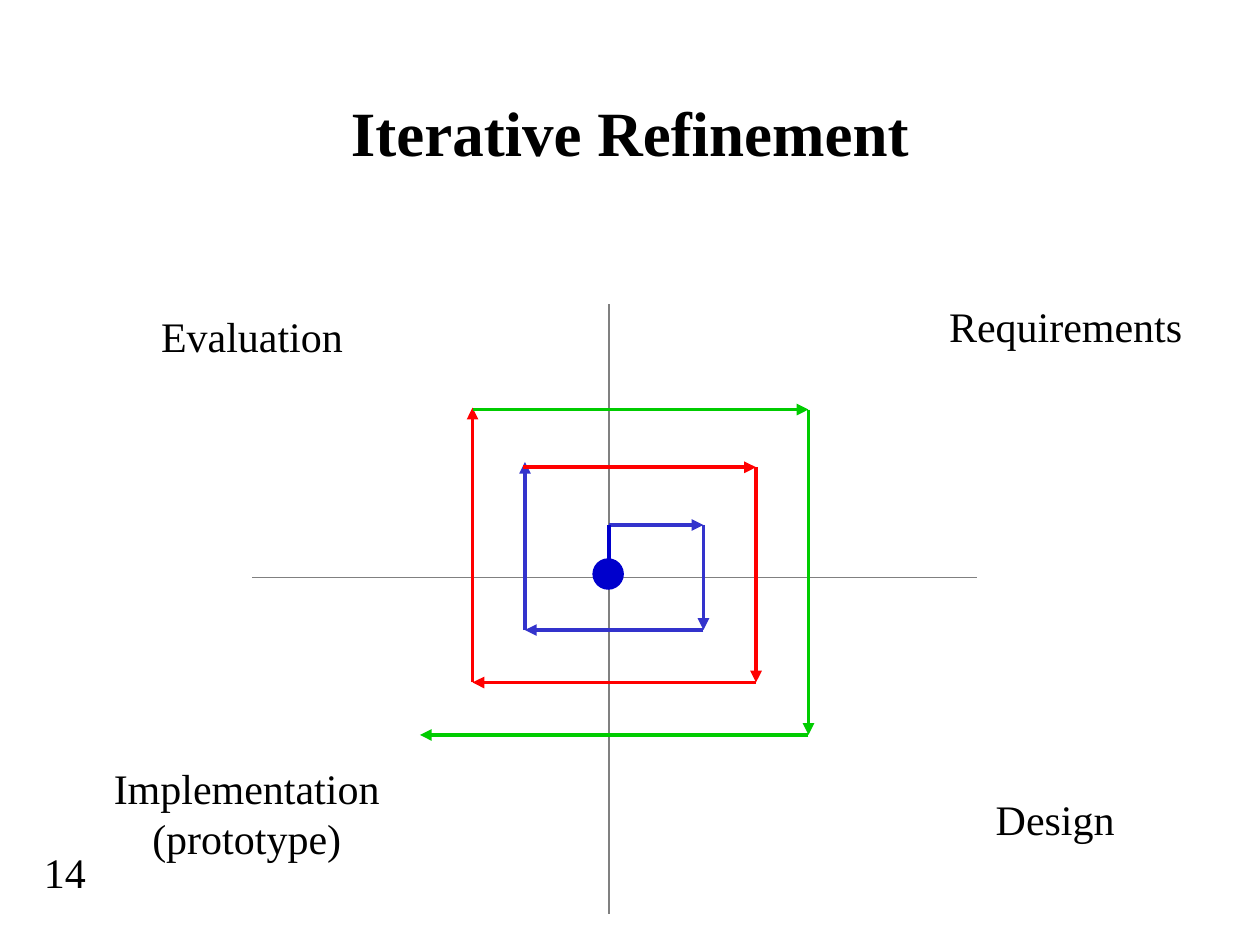
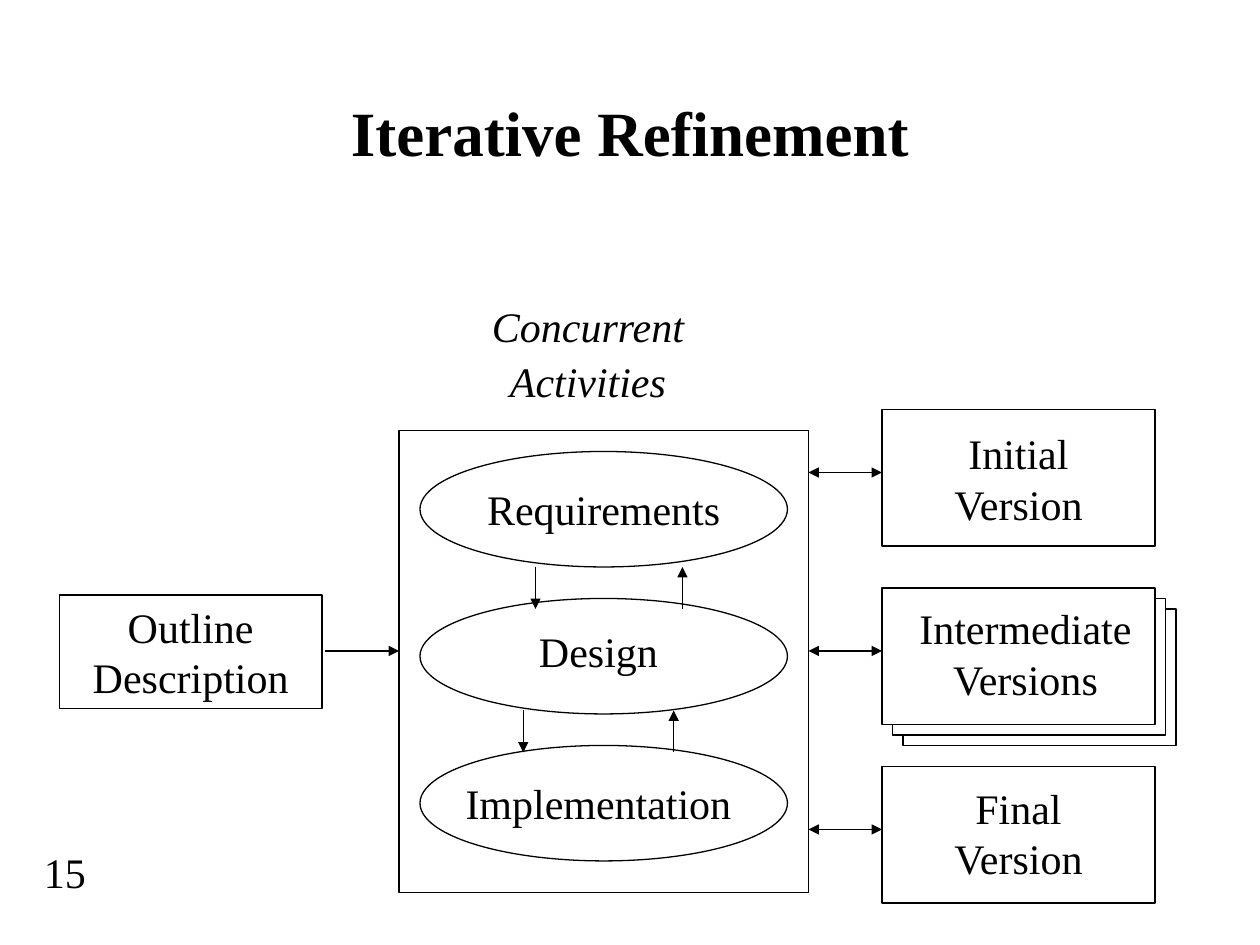
from lxml.etree import SubElement as Sub
from pptx import Presentation
from pptx.dml.color import RGBColor as Rgb
from pptx.enum.shapes import MSO_CONNECTOR as Conn, MSO_SHAPE as Form
from pptx.enum.text import MSO_ANCHOR as Anchor, MSO_AUTO_SIZE as Fit, PP_ALIGN as Align
from pptx.oxml.ns import qn
from pptx.util import Pt

HUES = {
    "black": "000000", "white": "FFFFFF", "grey": "808080", "dot": "0000CC",
    "blue": "3333CC", "red": "FF0000", "green": "00CC00",
}
TEXT = {"name": "Times New Roman", "size": Pt(24), "bold": False, "italic": False}
TITLE = {**TEXT, "size": Pt(36), "bold": True}
GROW = {"word_wrap": True, "auto_size": Fit.SHAPE_TO_FIT_TEXT,
        "vertical_anchor": Anchor.TOP}
FIXED = {"word_wrap": True, "auto_size": Fit.NONE, "vertical_anchor": Anchor.MIDDLE}


def hue(name):
    return Rgb.from_string(HUES[name])


def apply(item, style):
    for name, value in style.items():
        setattr(item, name, value)


def write(frame, text, font=TEXT, body=GROW, align=Align.CENTER, gap=0):
    """Fill a text frame; each line is a paragraph, gap is the space between."""
    apply(frame, body)
    frame.text = text
    for num, para in enumerate(frame.paragraphs):
        apply(para, {"alignment": align, "space_before": Pt(gap if num else 0)})
        apply(para.font, font)
        para.font.color.rgb = hue("black")


def label(slide, text, left, top, width, height=36, **style):
    box = slide.shapes.add_textbox(Pt(left), Pt(top), Pt(width), Pt(height))
    write(box.text_frame, text, **style)


def shape(slide, form, left, top, width, height, fill=None, edge="black"):
    item = slide.shapes.add_shape(form, Pt(left), Pt(top), Pt(width), Pt(height))
    item.shadow.inherit = False
    if fill:
        item.fill.solid()
        item.fill.fore_color.rgb = hue(fill)
    else:
        item.fill.background()
    if edge:
        item.line.color.rgb = hue(edge)
        item.line.width = Pt(0.75)
    else:
        item.line.fill.background()
    return item


def line(slide, start, end, color="black", width=0.75, tips=()):
    """Draw a line; tips names its arrow ends, headEnd first, then tailEnd."""
    item = slide.shapes.add_connector(Conn.STRAIGHT, *map(Pt, (*start, *end)))
    item.line.color.rgb = hue(color)
    item.line.width = Pt(width)
    edge = item.line._get_or_add_ln()
    for tip in tips:
        Sub(edge, qn(f"a:{tip}"), type="triangle")
    Sub(item._element.spPr, qn("a:effectLst"))


def trail(slide, color, points):
    """Join the points with arrows, one for each leg."""
    for start, end in zip(points, points[1:]):
        line(slide, start, end, color, 2.25, ["tailEnd"])


def start_slide(deck, number):
    slide = deck.slides.add_slide(deck.slide_layouts[5])
    label(slide, str(number), 18, 480, 78, align=Align.LEFT)
    title = slide.shapes.title
    apply(title, {"left": Pt(54), "top": Pt(30), "width": Pt(612), "height": Pt(90)})
    write(title.text_frame, "Iterative Refinement", TITLE, FIXED)
    return slide


def draw_spiral(deck):
    slide = start_slide(deck, 14)

    # Axes and the four phases
    line(slide, (348, 174), (348, 522), "grey")
    line(slide, (144, 330), (558, 330), "grey")
    label(slide, "Requirements", 528, 168, 162)
    label(slide, "Design", 534, 450, 138)
    label(slide, "Implementation\n(prototype)", 42, 432, 198, 65)
    label(slide, "Evaluation", 66, 174, 156)

    # Three rounds, from the centre outwards
    trail(slide, "blue", [(348, 300), (402, 300), (402, 360), (300, 360), (300, 264)])
    trail(slide, "red", [(299, 267), (432, 267), (432, 390), (270, 390), (270, 233)])
    trail(slide, "green", [(270, 234), (462, 234), (462, 420), (240, 420)])

    # Starting point
    shape(slide, Form.OVAL, 338.5, 319, 18, 18, "dot", None)
    line(slide, (348, 324), (348, 300), "dot", 2.25)


def draw_process(deck):
    slide = start_slide(deck, 15)

    # Input and frame
    source = shape(slide, Form.RECTANGLE, 34, 340, 150, 65)
    write(source.text_frame, "Outline\nDescription")
    shape(slide, Form.RECTANGLE, 228, 246, 234, 264)
    label(slide, "Concurrent\nActivities", 234, 168, 204, 68,
          font={**TEXT, "italic": True}, gap=3)
    line(slide, (186, 372), (228, 372), tips=["tailEnd"])

    # Activities
    steps = [("Requirements", 252, 273, 186), ("Design", 246, 354, 192),
             ("Implementation", 252, 441, 180)]
    for row, (text, left, top, width) in enumerate(steps):
        shape(slide, Form.OVAL, 240, 258 + 84 * row, 210, 66)
        label(slide, text, left, top, width)

    # Arrows down and back up between the activities
    for down, back, top in [(306, 390, 324), (299, 385, 406)]:
        for x, tip in [(down, "tailEnd"), (back, "headEnd")]:
            line(slide, (x, top), (x, top + 24), tips=[tip])

    # Versions, the middle one as a stack of sheets
    items = [("Initial\nVersion", 492, 241, 180, [0]),
             ("Intermediate\nVersions", 490, 341, 192, [12, 6, 0]),
             ("Final\nVersion", 510, 443.5, 144, [0])]
    for row, (text, left, top, width, sheets) in enumerate(items):
        for shift in sheets:
            shape(slide, Form.RECTANGLE, 504 + shift, 234 + 102 * row + shift,
                  156, 78, "white")
        label(slide, text, left, top, width, 65)
        y = 270 + 102 * row
        line(slide, (462, y), (504, y), tips=["headEnd", "tailEnd"])


def main():
    deck = Presentation()
    apply(deck, {"slide_width": Pt(720), "slide_height": Pt(540)})
    draw_spiral(deck)
    draw_process(deck)
    deck.save("out.pptx")


if __name__ == "__main__":
    main()
